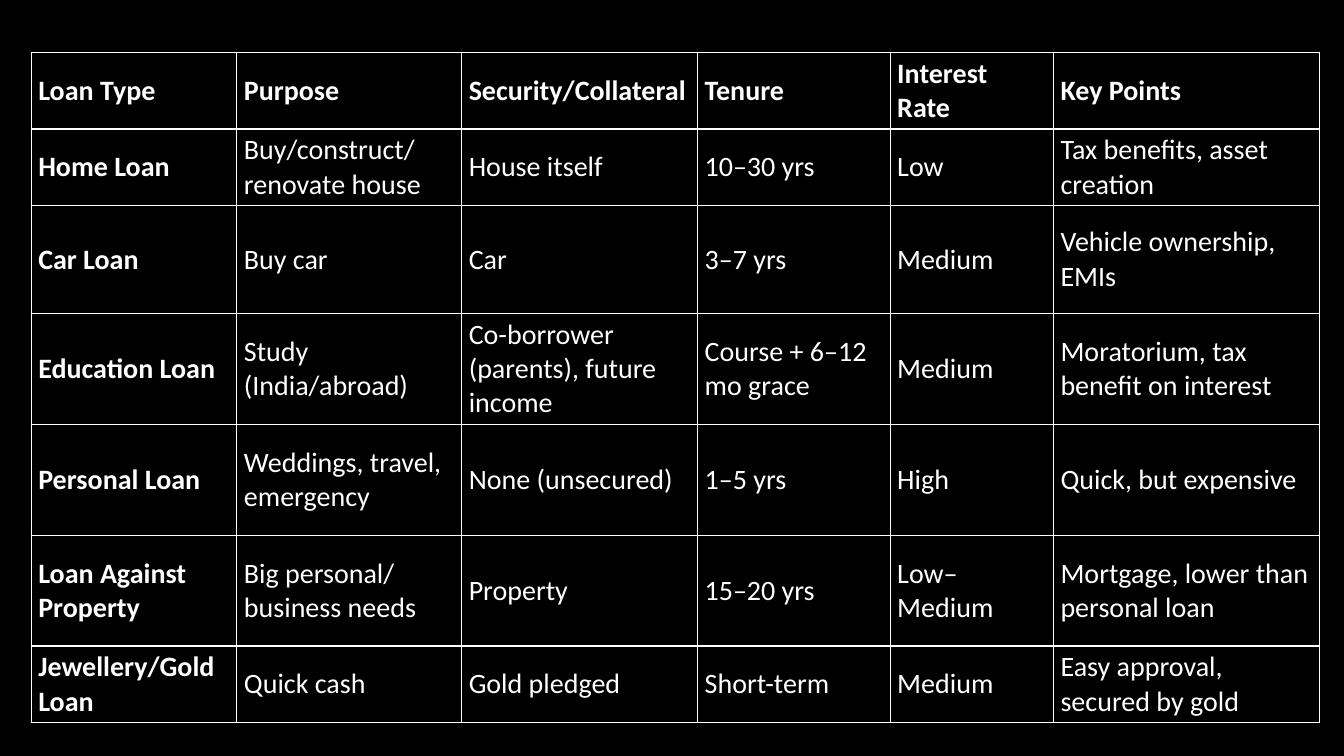
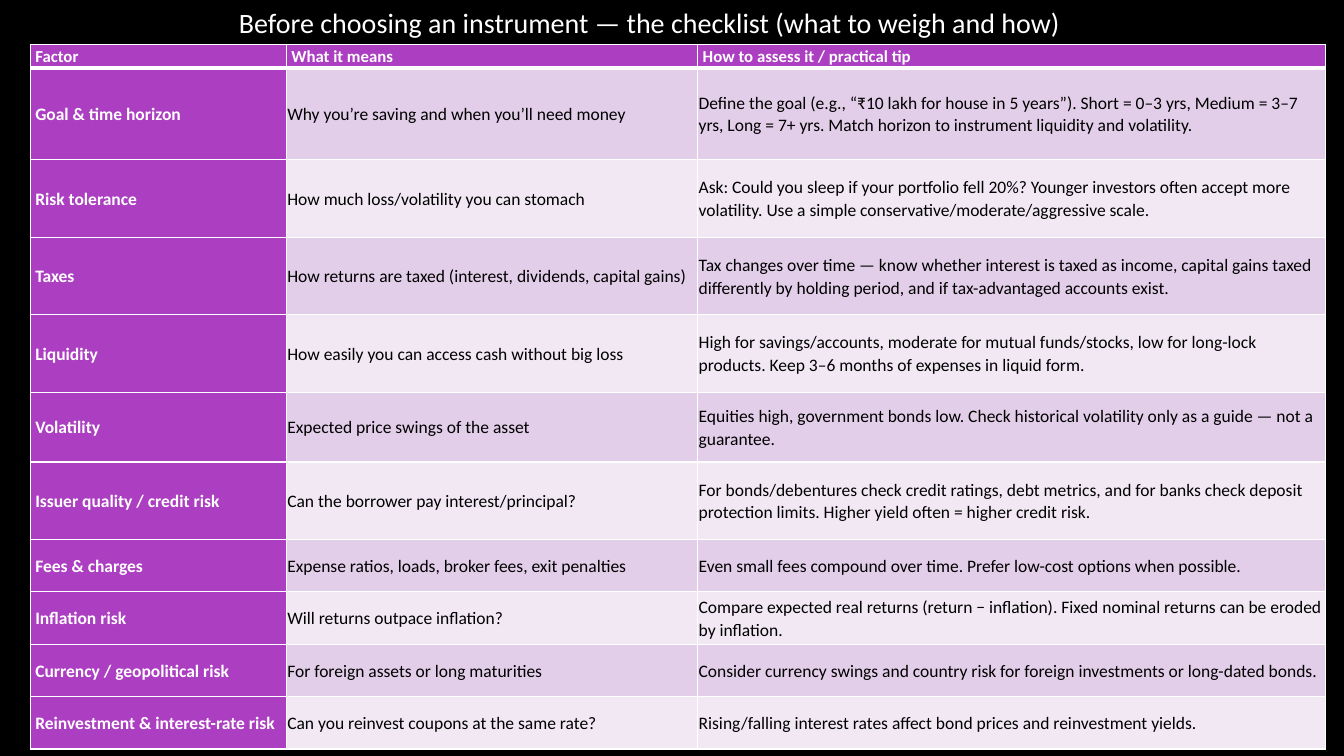
from dataclasses import dataclass

from lxml.etree import SubElement
from pptx import Presentation
from pptx.dml.color import RGBColor
from pptx.enum.text import MSO_ANCHOR, MSO_AUTO_SIZE, PP_ALIGN
from pptx.oxml.ns import qn
from pptx.util import Inches, Pt


@dataclass(frozen=True)
class Theme:
    font: str = "Calibri"
    black: str = "000000"
    white: str = "FFFFFF"
    plum: str = "AC3EC1"
    bands: tuple = ("E3CEE9", "F1E8F4")
    large: float = 20
    body: float = 12.5
    small: float = 12
    thin: float = 1
    thick: float = 3


@dataclass(frozen=True)
class Grid:
    left: float
    top: float
    cols: tuple
    rows: tuple
    texts: tuple
    pad: tuple
    head: float
    body: float
    rule: float
    filled: bool = False


THEME = Theme()

LOANS = Grid(
    left=0.31, top=0.52,
    cols=(2.04, 2.23, 2.34, 1.91, 1.62, 2.64),
    rows=(0.76, 0.76, 1.07, 1.1, 1.1, 1.1, 0.76),
    pad=(0.07, 0.03), head=THEME.large, body=THEME.large, rule=THEME.thin,
    texts=(
        ("Loan Type", "Purpose", "Security/Collateral", "Tenure", "Interest Rate", "Key Points"),
        ("Home Loan", "Buy/construct/ renovate house", "House itself", "10–30 yrs", "Low",
         "Tax benefits, asset creation"),
        ("Car Loan", "Buy car", "Car", "3–7 yrs", "Medium", "Vehicle ownership, EMIs"),
        ("Education Loan", "Study (India/abroad)", "Co-borrower (parents), future income",
         "Course + 6–12 mo grace", "Medium", "Moratorium, tax benefit on interest"),
        ("Personal Loan", "Weddings, travel, emergency", "None (unsecured)", "1–5 yrs", "High",
         "Quick, but expensive"),
        ("Loan Against Property", "Big personal/ business needs", "Property", "15–20 yrs",
         "Low–Medium", "Mortgage, lower than personal loan"),
        ("Jewellery/Gold Loan", "Quick cash", "Gold pledged", "Short-term", "Medium",
         "Easy approval, secured by gold"),
    ),
)

CHECKS = Grid(
    left=0.3, top=0.44,
    cols=(2.54, 4.08, 6.23),
    rows=(0.2, 0.91, 0.77, 0.77, 0.77, 0.69, 0.77, 0.52, 0.52, 0.52, 0.52),
    pad=(0.01, 0.01), head=THEME.small, body=THEME.body, rule=THEME.thick, filled=True,
    texts=(
        ("Factor", "What it means", "How to assess it / practical tip"),
        ("Goal & time horizon", "Why you’re saving and when you’ll need money",
         "Define the goal (e.g., “₹10 lakh for house in 5 years”). Short = 0–3 yrs, "
         "Medium = 3–7 yrs, Long = 7+ yrs. Match horizon to instrument liquidity and volatility."),
        ("Risk tolerance", "How much loss/volatility you can stomach",
         "Ask: Could you sleep if your portfolio fell 20%? Younger investors often accept more "
         "volatility. Use a simple conservative/moderate/aggressive scale."),
        ("Taxes", "How returns are taxed (interest, dividends, capital gains)",
         "Tax changes over time — know whether interest is taxed as income, capital gains taxed "
         "differently by holding period, and if tax-advantaged accounts exist."),
        ("Liquidity", "How easily you can access cash without big loss",
         "High for savings/accounts, moderate for mutual funds/stocks, low for long-lock "
         "products. Keep 3–6 months of expenses in liquid form."),
        ("Volatility", "Expected price swings of the asset",
         "Equities high, government bonds low. Check historical volatility only as a guide — "
         "not a guarantee."),
        ("Issuer quality / credit risk", "Can the borrower pay interest/principal?",
         "For bonds/debentures check credit ratings, debt metrics, and for banks check deposit "
         "protection limits. Higher yield often = higher credit risk."),
        ("Fees & charges", "Expense ratios, loads, broker fees, exit penalties",
         "Even small fees compound over time. Prefer low-cost options when possible."),
        ("Inflation risk", "Will returns outpace inflation?",
         "Compare expected real returns (return − inflation). Fixed nominal returns can be "
         "eroded by inflation."),
        ("Currency / geopolitical risk", "For foreign assets or long maturities",
         "Consider currency swings and country risk for foreign investments or long-dated bonds."),
        ("Reinvestment & interest-rate risk", "Can you reinvest coupons at the same rate?",
         "Rising/falling interest rates affect bond prices and reinvestment yields."),
    ),
)


def add_run(para, text: str, size: float, color: str, bold: bool = False) -> None:
    run = para.add_run()
    run.text = text
    font = run.font
    font.name, font.size, font.bold = THEME.font, Pt(size), bold
    font.color.rgb = RGBColor.from_string(color)


def add_edges(cell, top: float, base: float) -> None:
    props = cell._tc.get_or_add_tcPr()
    edges = {"a:lnL": THEME.thin, "a:lnR": THEME.thin, "a:lnT": top, "a:lnB": base}
    for tag, width in edges.items():
        line = SubElement(props, qn(tag), w=str(Pt(width)))
        fill = SubElement(line, qn("a:solidFill"))
        SubElement(fill, qn("a:srgbClr"), val=THEME.white)


def fill_cell(cell, grid: Grid, row: int, col: int) -> None:
    label = row == 0 or col == 0
    cell.vertical_anchor = MSO_ANCHOR.MIDDLE
    cell.margin_left = cell.margin_right = Inches(grid.pad[0])
    cell.margin_top = cell.margin_bottom = Inches(grid.pad[1])
    add_edges(cell, grid.rule if row == 1 else THEME.thin, grid.rule if row == 0 else THEME.thin)
    para = cell.text_frame.paragraphs[0]
    if grid.filled:
        shade = THEME.plum if label else THEME.bands[(row - 1) % 2]
        cell.fill.solid()
        cell.fill.fore_color.rgb = RGBColor.from_string(shade)
        if label:
            props = para._p.get_or_add_pPr()
            props.set("marL", str(Inches(0.04)))
            props.set("indent", "0")
        para.line_spacing = 1.07
        para.space_after = Pt(8)
    else:
        cell.fill.background()
    color = THEME.black if grid.filled and not label else THEME.white
    size = grid.head if row == 0 else grid.body
    add_run(para, grid.texts[row][col], size, color, label)


def add_grid(slide, grid: Grid) -> None:
    frame = slide.shapes.add_table(
        len(grid.rows), len(grid.cols), Inches(grid.left), Inches(grid.top),
        Inches(sum(grid.cols)), Inches(sum(grid.rows)))
    table = frame.table
    table.horz_banding = False
    for col, width in enumerate(grid.cols):
        table.columns[col].width = Inches(width)
    for row, height in enumerate(grid.rows):
        table.rows[row].height = Inches(height)
        for col in range(len(grid.cols)):
            fill_cell(table.cell(row, col), grid, row, col)


def add_title(slide, text: str) -> None:
    title = slide.shapes.title
    title.left, title.top = Inches(2.27), Inches(0)
    title.width, title.height = Inches(8.37), Inches(0.44)
    frame = title.text_frame
    frame.word_wrap = True
    frame.auto_size = MSO_AUTO_SIZE.SHAPE_TO_FIT_TEXT
    frame.vertical_anchor = MSO_ANCHOR.TOP
    para = frame.paragraphs[0]
    para.alignment = PP_ALIGN.LEFT
    add_run(para, text, THEME.large, THEME.white)


def main() -> None:
    deck = Presentation()
    deck.slide_width, deck.slide_height = Inches(13.33), Inches(7.5)
    back = deck.slide_master.background.fill
    back.solid()
    back.fore_color.rgb = RGBColor.from_string(THEME.black)
    loans = deck.slides.add_slide(deck.slide_layouts[6])
    add_grid(loans, LOANS)
    checks = deck.slides.add_slide(deck.slide_layouts[5])
    add_title(checks, "Before choosing an instrument — the checklist (what to weigh and how)")
    add_grid(checks, CHECKS)
    deck.save("out.pptx")


if __name__ == "__main__":
    main()
